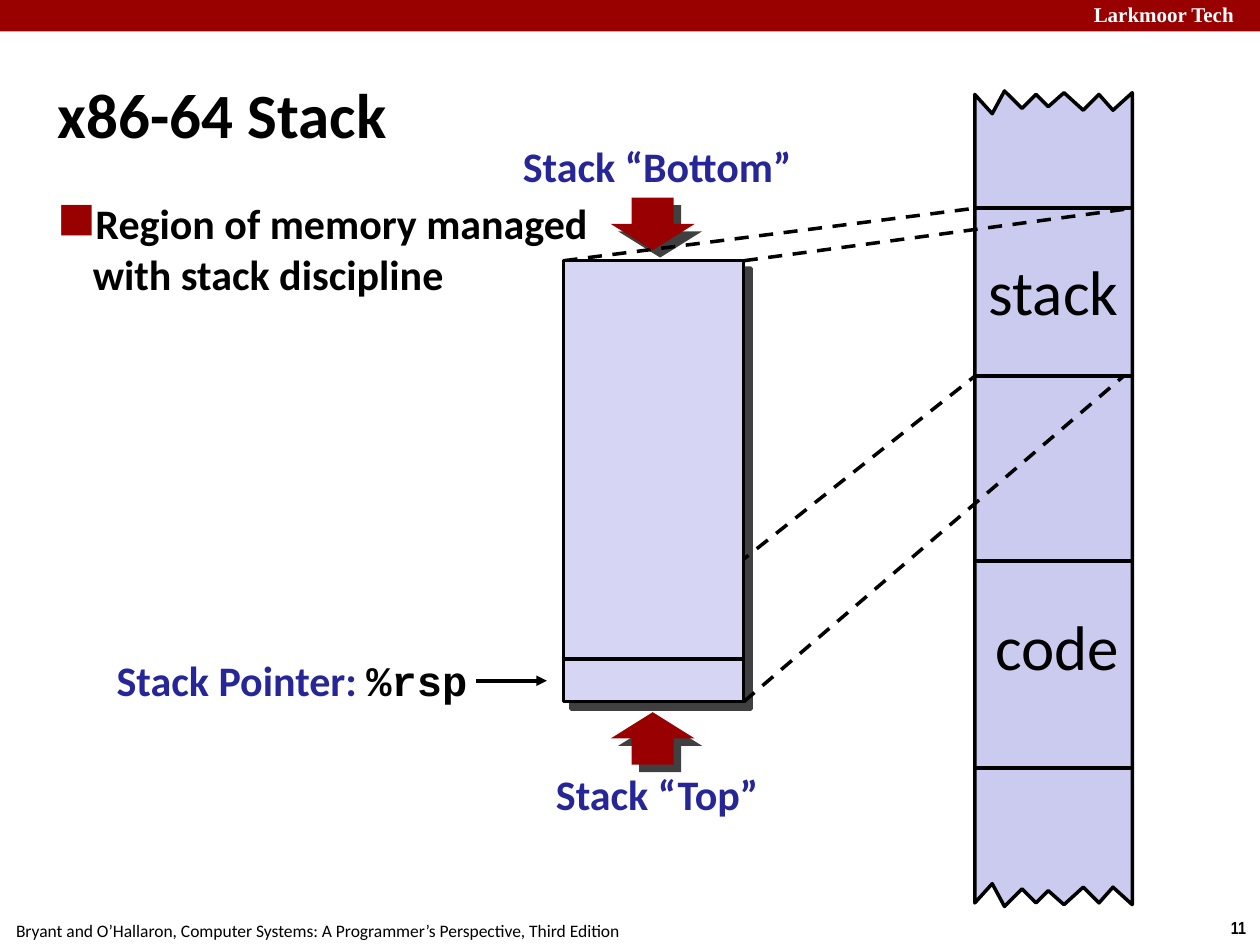
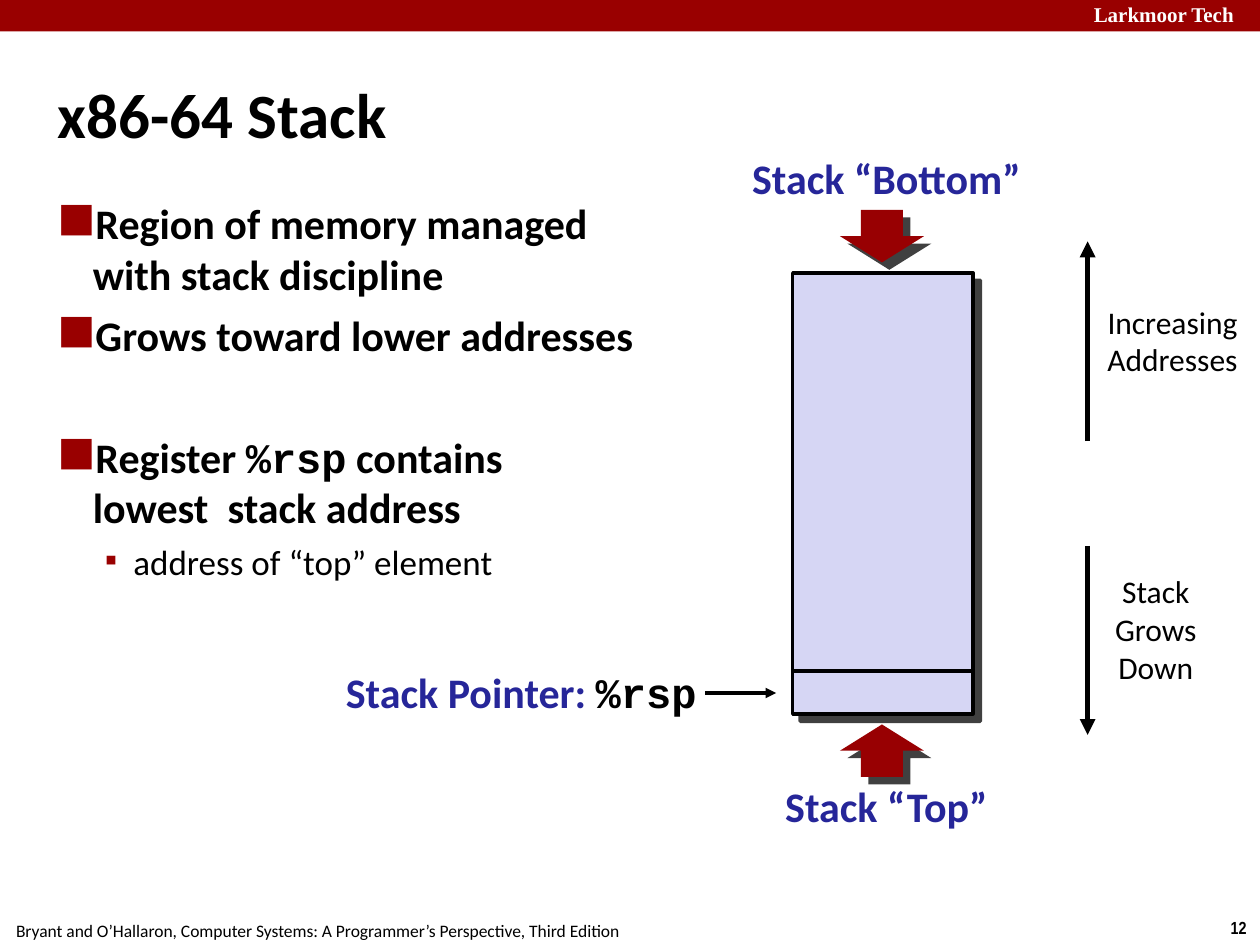
from lxml.etree import SubElement
from pptx import Presentation
from pptx.dml.color import RGBColor
from pptx.enum.dml import MSO_LINE
from pptx.enum.shapes import MSO_CONNECTOR, MSO_SHAPE
from pptx.enum.text import MSO_ANCHOR, MSO_AUTO_SIZE, PP_ALIGN
from pptx.oxml.ns import qn
from pptx.util import Pt

COLORS = {
    "black": "000000",
    "white": "FFFFFF",
    "band": "990000",
    "arrow": "980002",
    "label": "262699",
    "stack": "D6D6F4",
    "memory": "CBCBEF",
}
FORMATS = {
    "title": {"name": "Calibri", "size": Pt(36), "bold": True, "color": "black"},
    "body": {"name": "Calibri", "size": Pt(24), "bold": True, "color": "black"},
    "detail": {"name": "Calibri", "size": Pt(20), "bold": False, "color": "black"},
    "code": {"name": "Courier New", "size": Pt(24), "bold": True, "color": "black"},
    "label": {"name": "Calibri", "size": Pt(24), "bold": True, "color": "label"},
    "section": {"name": "Calibri", "size": Pt(36), "bold": False, "color": "black"},
    "note": {"name": "Calibri", "size": Pt(18), "bold": False, "color": "black"},
    "footer": {"name": "Calibri", "size": Pt(10), "bold": False, "color": "black"},
    "number": {"name": "Arial Narrow", "size": Pt(10), "bold": True, "color": "black"},
    "school": {"name": "Times New Roman", "size": Pt(12), "bold": True, "color": "white"},
}
BULLETS = {
    "body": {"symbol": "■", "percent": 150, "margin": 20, "hanging": 20},
    "detail": {"symbol": "▪", "percent": 100, "margin": 43.2, "hanging": 18.7},
}
STACK_SIZE = (103, 252)
MEMORY_BOX = (557, 52, 90, 466)
MEMORY_DIVIDERS = (67, 163, 268.5, 387)
TORN_EDGE = [
    (0, 2), (10, 13), (17, 0), (27, 10), (35, 2), (42, 9),
    (51, 1), (62, 11), (71, 2), (79, 11), (90, 1),
]
FIRST_POINT = [("body", 0, [("Region of memory managed with stack discipline", "body")])]
MORE_POINTS = [
    ("body", 6, [("Grows toward lower addresses", "body")]),
    ("body", 41, [
        ("Register ", "body"),
        ("%rsp", "code"),
        (" contains\vlowest  stack address", "body"),
    ]),
    ("detail", 5, [("address of “top” element", "detail")]),
]


def rgb(name):
    """Return the named colour."""
    return RGBColor.from_string(COLORS[name])


def points(*lengths):
    """Convert lengths in points."""
    return [Pt(length) for length in lengths]


def add_run(paragraph, text, style):
    """Add formatted text, with line breaks at vertical tabs."""
    for index, piece in enumerate(text.split("\v")):
        if index:
            paragraph.add_line_break()
        run = paragraph.add_run()
        run.text = piece
        for attribute, value in FORMATS[style].items():
            if attribute == "color":
                run.font.color.rgb = rgb(value)
            else:
                setattr(run.font, attribute, value)


def set_frame(frame, anchor=MSO_ANCHOR.TOP):
    """Give a text frame the shared margins, wrapping and anchor."""
    settings = {"word_wrap": True, "auto_size": MSO_AUTO_SIZE.NONE, "vertical_anchor": anchor}
    for side in ("left", "right", "top", "bottom"):
        settings[f"margin_{side}"] = Pt(3)
    for attribute, value in settings.items():
        setattr(frame, attribute, value)


def add_text(slide, box, lines, align=PP_ALIGN.CENTER, fill=None):
    """Add a text box from lines of (text, style) runs."""
    shape = slide.shapes.add_textbox(*points(*box))
    set_frame(shape.text_frame)
    if fill:
        shape.fill.solid()
        shape.fill.fore_color.rgb = rgb(fill)
    for index, runs in enumerate(lines):
        frame = shape.text_frame
        paragraph = frame.add_paragraph() if index else frame.paragraphs[0]
        paragraph.alignment = align
        for text, style in runs:
            add_run(paragraph, text, style)
    return shape


def format_shape(shape, fill, outlined=False, shadowed=False):
    """Set fill, outline and shadow."""
    shape.shadow.inherit = False
    shape.fill.solid()
    shape.fill.fore_color.rgb = rgb(fill)
    if outlined:
        shape.line.color.rgb = rgb("black")
        shape.line.width = Pt(2)
    else:
        shape.line.fill.background()
    if shadowed:
        effects = shape._element.spPr.find(qn("a:effectLst"))
        shadow = SubElement(
            effects, qn("a:outerShdw"), blurRad="0", dist=str(Pt(6)),
            dir="2700000", algn="ctr", rotWithShape="0",
        )
        color = SubElement(shadow, qn("a:srgbClr"), val=COLORS["black"])
        SubElement(color, qn("a:alpha"), val="75000")


def add_shape(slide, kind, box, fill, **options):
    """Add a formatted preset shape."""
    format_shape(slide.shapes.add_shape(kind, *points(*box)), fill, **options)


def add_line(slide, start, end, width=2, dashed=False, arrow=False):
    """Add a straight black line."""
    line = slide.shapes.add_connector(MSO_CONNECTOR.STRAIGHT, *points(*start, *end))
    line.line.color.rgb = rgb("black")
    line.line.width = Pt(width)
    if dashed:
        line.line.dash_style = MSO_LINE.DASH
    properties = line._element.spPr
    if arrow:
        SubElement(properties.find(qn("a:ln")), qn("a:tailEnd"), type="triangle")
    SubElement(properties, qn("a:effectLst"))


def add_frame(presentation, number):
    """Add a slide with band, footer, page number and title."""
    slide = presentation.slides.add_slide(presentation.slide_layouts[5])
    add_shape(slide, MSO_SHAPE.RECTANGLE, (0, 0, 720, 18), "band")
    add_text(slide, (622, -2, 104, 20), [[("Larkmoor Tech", "school")]], PP_ALIGN.LEFT)
    footer = "Bryant and O’Hallaron, Computer Systems: A Programmer’s Perspective, Third Edition"
    add_text(slide, (-1.5, 522.5, 366, 19), [[(footer, "footer")]])
    add_text(slide, (695.5, 521, 24.5, 19), [[(str(number), "number")]])
    title = slide.shapes.title
    title.left, title.top, title.width, title.height = points(30, 20, 660, 90)
    set_frame(title.text_frame, MSO_ANCHOR.MIDDLE)
    paragraph = title.text_frame.paragraphs[0]
    paragraph.alignment = PP_ALIGN.LEFT
    add_run(paragraph, "x86-64 Stack", "title")
    return slide


def add_bullets(slide, box, items):
    """Add bulleted items of (level, space before, runs)."""
    lines = [runs for _, _, runs in items]
    shape = add_text(slide, box, lines, PP_ALIGN.LEFT)
    for paragraph, (level, space, _) in zip(shape.text_frame.paragraphs, items):
        bullet = BULLETS[level]
        paragraph.space_before = Pt(space)
        properties = paragraph._p.get_or_add_pPr()
        properties.set("marL", str(Pt(bullet["margin"])))
        properties.set("indent", str(-Pt(bullet["hanging"])))
        color = SubElement(properties, qn("a:buClr"))
        SubElement(color, qn("a:srgbClr"), val=COLORS["band"])
        SubElement(properties, qn("a:buSzPct"), val=str(bullet["percent"] * 1000))
        SubElement(properties, qn("a:buFont"), typeface="Courier New")
        SubElement(properties, qn("a:buChar"), char=bullet["symbol"])


def add_stack(slide, left, top):
    """Draw the stack with its end arrows, labels and pointer."""
    width, height = STACK_SIZE
    pointer_y = top + 240
    add_line(slide, (left - 50, pointer_y), (left - 9.5, pointer_y), arrow=True)
    pointer = [[("Stack Pointer: ", "label"), ("%rsp", "code")]]
    add_text(slide, (left - 259, top + 222, 207, 36), pointer, PP_ALIGN.RIGHT)
    add_shape(slide, MSO_SHAPE.RECTANGLE, (left, top, width, height), "stack",
              outlined=True, shadowed=True)
    divider_y = top + 227.5
    add_line(slide, (left, divider_y), (left + width, divider_y))
    ends = [
        ("Stack “Bottom”", top - 72, MSO_SHAPE.DOWN_ARROW, top - 36),
        ("Stack “Top”", top + 287, MSO_SHAPE.UP_ARROW, top + 258),
    ]
    for label, label_top, arrow, arrow_top in ends:
        add_text(slide, (left - 30, label_top, 167, 35), [[(label, "label")]])
        add_shape(slide, arrow, (left + 27, arrow_top, 48, 30), "arrow", shadowed=True)


def add_memory(slide, left, top, width, height):
    """Draw the memory column with torn ends and named sections."""
    upper = [(left + x, top + depth) for x, depth in TORN_EDGE]
    lower = [(left + x, top + height - depth) for x, depth in reversed(TORN_EDGE)]
    outline = [tuple(points(*point)) for point in upper + lower]
    builder = slide.shapes.build_freeform(*outline[0])
    builder.add_line_segments(outline[1:], close=True)
    format_shape(builder.convert_to_shape(), "memory", outlined=True)
    for offset in MEMORY_DIVIDERS:
        add_line(slide, (left, top + offset), (left + width, top + offset))
    for name, center, offset in (("stack", 45, 89), ("code", 47, 292)):
        add_text(slide, (left + center - 50, top + offset, 100, 51), [[(name, "section")]])


def add_direction(slide, x, start_y, end_y, note_box, words):
    """Draw a vertical arrow with a note beside it."""
    add_line(slide, (x, start_y), (x, end_y), width=3, arrow=True)
    add_text(slide, note_box, [[(word, "note")] for word in words], fill="white")


def build_memory_slide(presentation):
    """Show the stack as an enlarged region of memory."""
    slide = add_frame(presentation, 11)
    left, top = 322, 149
    right, bottom = left + STACK_SIZE[0], top + STACK_SIZE[1]
    memory_left, memory_top, memory_width, _ = MEMORY_BOX
    memory_right = memory_left + memory_width
    upper, lower = (memory_top + offset for offset in MEMORY_DIVIDERS[:2])
    add_line(slide, (left, top), (memory_left, upper), dashed=True)
    add_line(slide, (left, bottom), (memory_left, lower), dashed=True)
    add_bullets(slide, (30, 110, 351, 428), FIRST_POINT)
    add_stack(slide, left, top)
    add_memory(slide, *MEMORY_BOX)
    add_line(slide, (right, top), (memory_right, upper), dashed=True)
    add_line(slide, (right, bottom), (memory_right - 5, lower), dashed=True)


def build_growth_slide(presentation):
    """Show the direction in which the stack grows."""
    slide = add_frame(presentation, 12)
    add_bullets(slide, (30, 110, 351, 428), FIRST_POINT + MORE_POINTS)
    add_stack(slide, 453, 156)
    add_direction(slide, 621.5, 312, 420, (628.5, 324, 64, 72), ["Stack Grows", "Down"])
    add_direction(slide, 621.5, 252, 138, (629, 170, 82, 50), ["Increasing", "Addresses"])


def main():
    """Build and save the presentation."""
    presentation = Presentation()
    presentation.slide_width, presentation.slide_height = points(720, 540)
    build_memory_slide(presentation)
    build_growth_slide(presentation)
    presentation.save("out.pptx")


if __name__ == "__main__":
    main()
